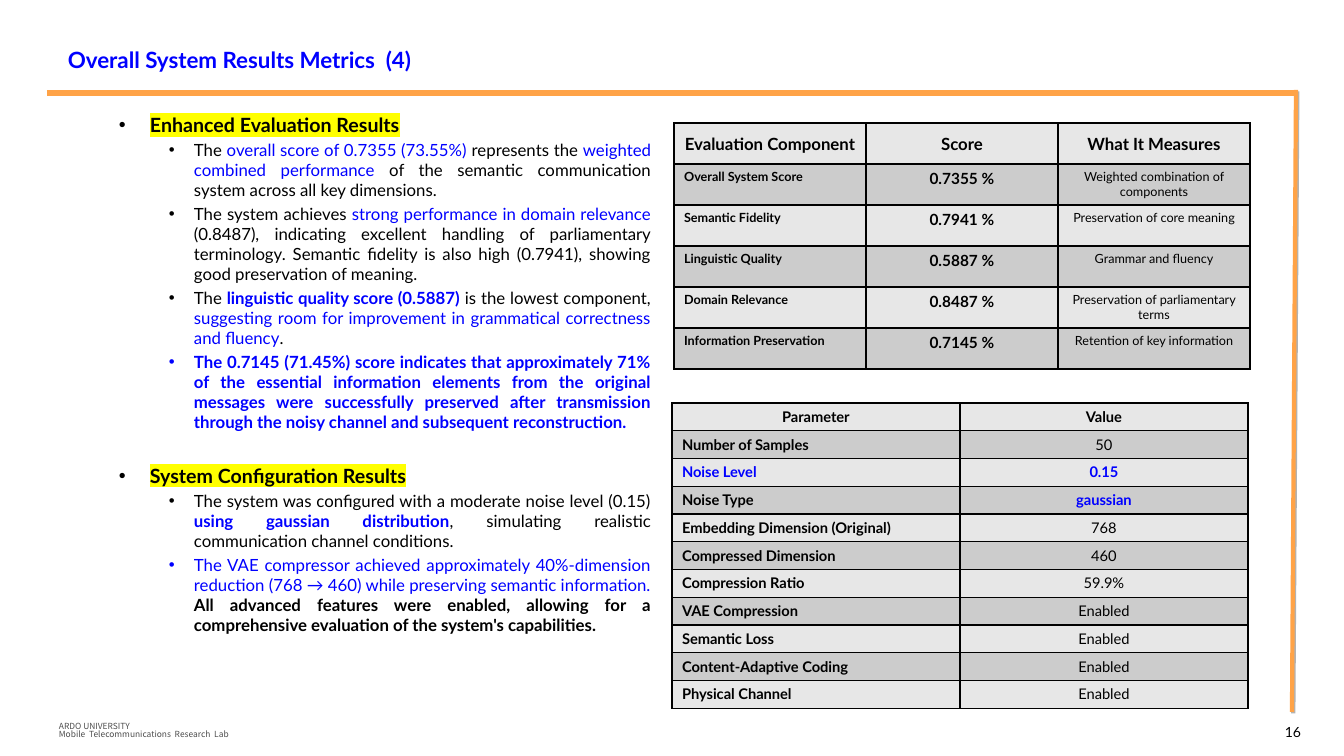
"""Build the slide with the overall system result metrics."""
from dataclasses import dataclass

from lxml import etree
from pptx import Presentation
from pptx.dml.color import RGBColor
from pptx.enum.shapes import MSO_CONNECTOR
from pptx.enum.text import MSO_ANCHOR, PP_ALIGN
from pptx.oxml.ns import qn
from pptx.util import Emu, Pt

LEFT, CENTER, RIGHT, JUSTIFY = PP_ALIGN.LEFT, PP_ALIGN.CENTER, PP_ALIGN.RIGHT, PP_ALIGN.JUSTIFY
TOP, MIDDLE = MSO_ANCHOR.TOP, MSO_ANCHOR.MIDDLE
STRAIGHT = MSO_CONNECTOR.STRAIGHT
SLIDE_WIDTH, SLIDE_HEIGHT = 1344, 756
EMU_PER_PX = 12192000 / SLIDE_WIDTH


@dataclass(frozen=True)
class Theme:
    font: str = "Lato"
    footer_font: str = "Noto Sans CJK KR"
    black: str = "000000"
    blue: str = "0000FF"
    gray: str = "4D4D4D"
    orange: str = "FFA347"
    shadow: str = "B2B2B2"
    marker: str = "FFFF00"
    bands: tuple[str, str] = ("E7E7E7", "CCCCCC")
    title: float = 16
    heading: float = 14
    body: float = 12
    score: float = 11
    parameter: float = 10.5
    page: float = 10
    label: float = 9
    footer: float = 6


THEME = Theme()


@dataclass(frozen=True)
class Box:
    left: int
    top: int
    width: int
    height: int


@dataclass(frozen=True)
class TextRun:
    text: str
    color: str = THEME.black
    bold: bool = False
    size: float = THEME.body
    font: str = THEME.font
    marked: bool = False


@dataclass(frozen=True)
class Bullet:
    runs: tuple[TextRun, ...]
    margin: int = 126
    hanging: int = 25
    space_before: float = 2.4


@dataclass(frozen=True)
class Column:
    size: float
    bold: bool
    align: PP_ALIGN


@dataclass(frozen=True)
class Grid:
    box: Box
    header_size: float
    header_anchor: MSO_ANCHOR
    columns: tuple[Column, ...]
    rows: tuple[tuple[str, ...], ...]
    accents: tuple[str, ...] = ()


def heading(text: str, space_before: float) -> Bullet:
    return Bullet((TextRun(text, bold=True, size=THEME.heading, marked=True),), 82, 31, space_before)


def blue(text: str, bold: bool = False) -> TextRun:
    return TextRun(text, THEME.blue, bold)


BULLETS = (
    heading("Enhanced Evaluation Results", 0),
    Bullet((TextRun("The "), blue("overall score of 0.7355 (73.55%) "), TextRun("represents the "),
            blue("weighted combined performance "),
            TextRun("of the semantic communication system across all key dimensions."))),
    Bullet((TextRun("The system achieves "), blue("strong performance in domain relevance"),
            TextRun(" (0.8487), indicating excellent handling of parliamentary terminology. "
                    "Semantic fidelity is also high (0.7941), showing good preservation of meaning."))),
    Bullet((TextRun("The "), blue("linguistic quality score (0.5887)", True),
            TextRun(" is the lowest component, "),
            blue("suggesting room for improvement in grammatical correctness and fluency"),
            TextRun("."))),
    Bullet((blue("The 0.7145 (71.45%) score indicates that approximately 71% of the essential "
                 "information elements from the original messages were successfully preserved after "
                 "transmission through the noisy channel and subsequent reconstruction.", True),)),
    heading("System Configuration Results", 22.4),
    Bullet((TextRun("The system was configured with a moderate noise level (0.15) "),
            blue("using gaussian distribution", True),
            TextRun(", simulating realistic communication channel conditions."))),
    Bullet((blue("The VAE compressor achieved approximately 40%-dimension reduction (768 → 460) "
                 "while preserving semantic information. "),
            TextRun("All advanced features were enabled, allowing for a comprehensive evaluation "
                    "of the system's capabilities.", bold=True))),
)

GRIDS = (
    Grid(Box(674, 123, 576, 246), THEME.body, MIDDLE,
         (Column(THEME.label, True, LEFT), Column(THEME.score, True, CENTER),
          Column(THEME.label, False, CENTER)),
         (("Evaluation Component", "Score", "What It Measures"),
          ("Overall System Score", "0.7355 %", "Weighted combination of components"),
          ("Semantic Fidelity", "0.7941 %", "Preservation of core meaning"),
          ("Linguistic Quality", "0.5887 %", "Grammar and fluency"),
          ("Domain Relevance", "0.8487 %", "Preservation of parliamentary terms"),
          ("Information Preservation", "0.7145 %", "Retention of key information"))),
    Grid(Box(672, 403, 576, 297), THEME.parameter, TOP,
         (Column(THEME.parameter, True, LEFT), Column(THEME.parameter, False, CENTER)),
         (("Parameter", "Value"), ("Number of Samples", "50"), ("Noise Level", "0.15"),
          ("Noise Type", "gaussian"), ("Embedding Dimension (Original)", "768"),
          ("Compressed Dimension", "460"), ("Compression Ratio", "59.9%"),
          ("VAE Compression", "Enabled"), ("Semantic Loss", "Enabled"),
          ("Content-Adaptive Coding", "Enabled"), ("Physical Channel", "Enabled")),
         ("Noise Level", "0.15", "gaussian")),
)


def px(length: float) -> Emu:
    return Emu(round(length * EMU_PER_PX))


def add_node(parent, tag: str, **attributes: str):
    return etree.SubElement(parent, qn(tag), attributes)


def add_run(paragraph, text_run: TextRun) -> None:
    run = paragraph.add_run()
    run.text = text_run.text
    run.font.size = Pt(text_run.size)
    run.font.bold = text_run.bold
    run.font.color.rgb = RGBColor.from_string(text_run.color)
    if text_run.marked:
        highlight = add_node(run._r.get_or_add_rPr(), "a:highlight")
        add_node(highlight, "a:srgbClr", val=THEME.marker)
    run.font.name = text_run.font


def add_text(slide, box: Box, lines: tuple[TextRun, ...], align=LEFT, anchor=TOP, spacing=1.0) -> None:
    frame = slide.shapes.add_textbox(px(box.left), px(box.top), px(box.width), px(box.height)).text_frame
    frame.word_wrap = True
    frame.vertical_anchor = anchor
    for index, line in enumerate(lines):
        paragraph = frame.add_paragraph() if index else frame.paragraphs[0]
        paragraph.alignment = align
        paragraph.line_spacing = spacing
        add_run(paragraph, line)


def add_bullets(slide, box: Box, bullets: tuple[Bullet, ...]) -> None:
    frame = slide.shapes.add_textbox(px(box.left), px(box.top), px(box.width), px(box.height)).text_frame
    frame.word_wrap = True
    for index, bullet in enumerate(bullets):
        paragraph = frame.add_paragraph() if index else frame.paragraphs[0]
        paragraph.alignment = JUSTIFY
        paragraph.space_before = Pt(bullet.space_before)
        properties = paragraph._p.get_or_add_pPr()
        properties.set("marL", str(px(bullet.margin)))
        properties.set("indent", str(px(-bullet.hanging)))
        add_node(properties, "a:buFont", typeface="Arial")
        add_node(properties, "a:buChar", char="•")
        for text_run in bullet.runs:
            add_run(paragraph, text_run)


def add_rule(slide, start: tuple[int, int], end: tuple[int, int], width: float, shadowed: bool) -> None:
    rule = slide.shapes.add_connector(STRAIGHT, px(start[0]), px(start[1]), px(end[0]), px(end[1]))
    rule.line.color.rgb = RGBColor.from_string(THEME.orange)
    rule.line.width = Pt(width)
    effects = add_node(rule._element.spPr, "a:effectLst")
    if shadowed:
        shadow = add_node(effects, "a:outerShdw", dist=str(Pt(1.4)), dir="2700000")
        add_node(shadow, "a:srgbClr", val=THEME.shadow)


def style_cell(cell, fill: str) -> None:
    properties = cell._tc.get_or_add_tcPr()
    for side in ("a:lnL", "a:lnR", "a:lnT", "a:lnB"):
        border = add_node(properties, side, w=str(Pt(1)))
        add_node(add_node(border, "a:solidFill"), "a:srgbClr", val=THEME.black)
    cell.fill.solid()
    cell.fill.fore_color.rgb = RGBColor.from_string(fill)


def add_grid(slide, grid: Grid) -> None:
    box = grid.box
    table = slide.shapes.add_table(len(grid.rows), len(grid.columns), px(box.left), px(box.top),
                                   px(box.width), px(box.height)).table
    table.first_row = table.horz_banding = False
    for row, texts in enumerate(grid.rows):
        for index, (text, column) in enumerate(zip(texts, grid.columns)):
            cell = table.cell(row, index)
            style_cell(cell, THEME.bands[row % 2])
            accent = text in grid.accents
            cell.vertical_anchor = TOP if row else grid.header_anchor
            paragraph = cell.text_frame.paragraphs[0]
            paragraph.alignment = column.align if row else CENTER
            add_run(paragraph, TextRun(text, THEME.blue if accent else THEME.black,
                                       column.bold or accent or row == 0,
                                       column.size if row else grid.header_size))


def main() -> None:
    presentation = Presentation()
    presentation.slide_width, presentation.slide_height = px(SLIDE_WIDTH), px(SLIDE_HEIGHT)
    slide = presentation.slides.add_slide(presentation.slide_layouts[6])
    add_rule(slide, (1296, 90), (1292, 712), 3, True)
    add_rule(slide, (47, 93), (1296, 93), 4.5, False)
    add_bullets(slide, Box(58, 108, 603, 596), BULLETS)
    footer = ("ARDO UNIVERSITY", "Mobile  Telecommunications  Research  Lab")
    add_text(slide, Box(49, 717, 458, 28),
             tuple(TextRun(line, THEME.gray, size=THEME.footer, font=THEME.footer_font) for line in footer),
             anchor=MIDDLE, spacing=0.8)
    add_text(slide, Box(1188, 719, 123, 29), (TextRun("16", size=THEME.page),), RIGHT)
    for grid in GRIDS:
        add_grid(slide, grid)
    add_text(slide, Box(58, 33, 1143, 54),
             (TextRun("Overall System Results Metrics  (4)", THEME.blue, True, THEME.title),), anchor=MIDDLE)
    presentation.save("out.pptx")


if __name__ == "__main__":
    main()
